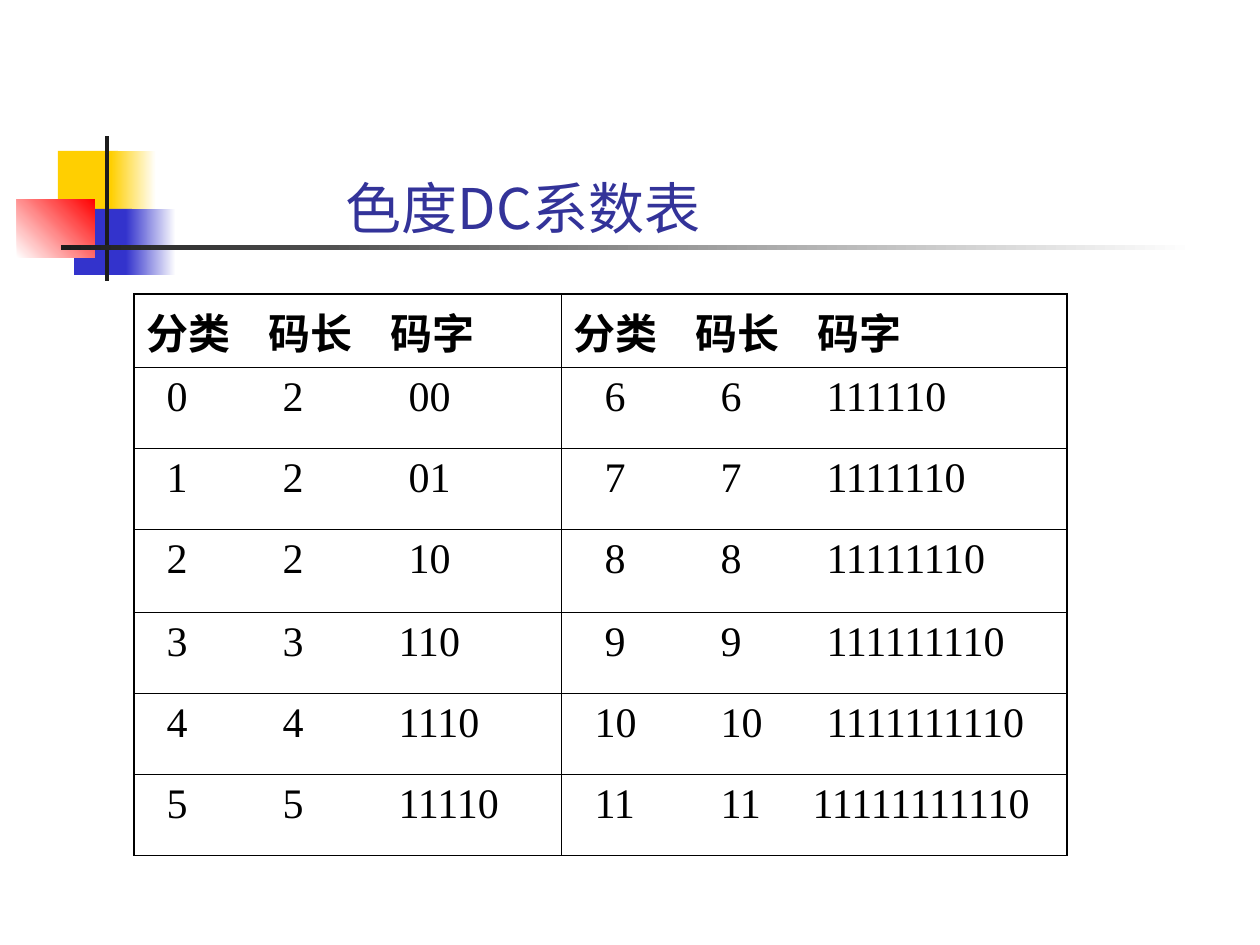
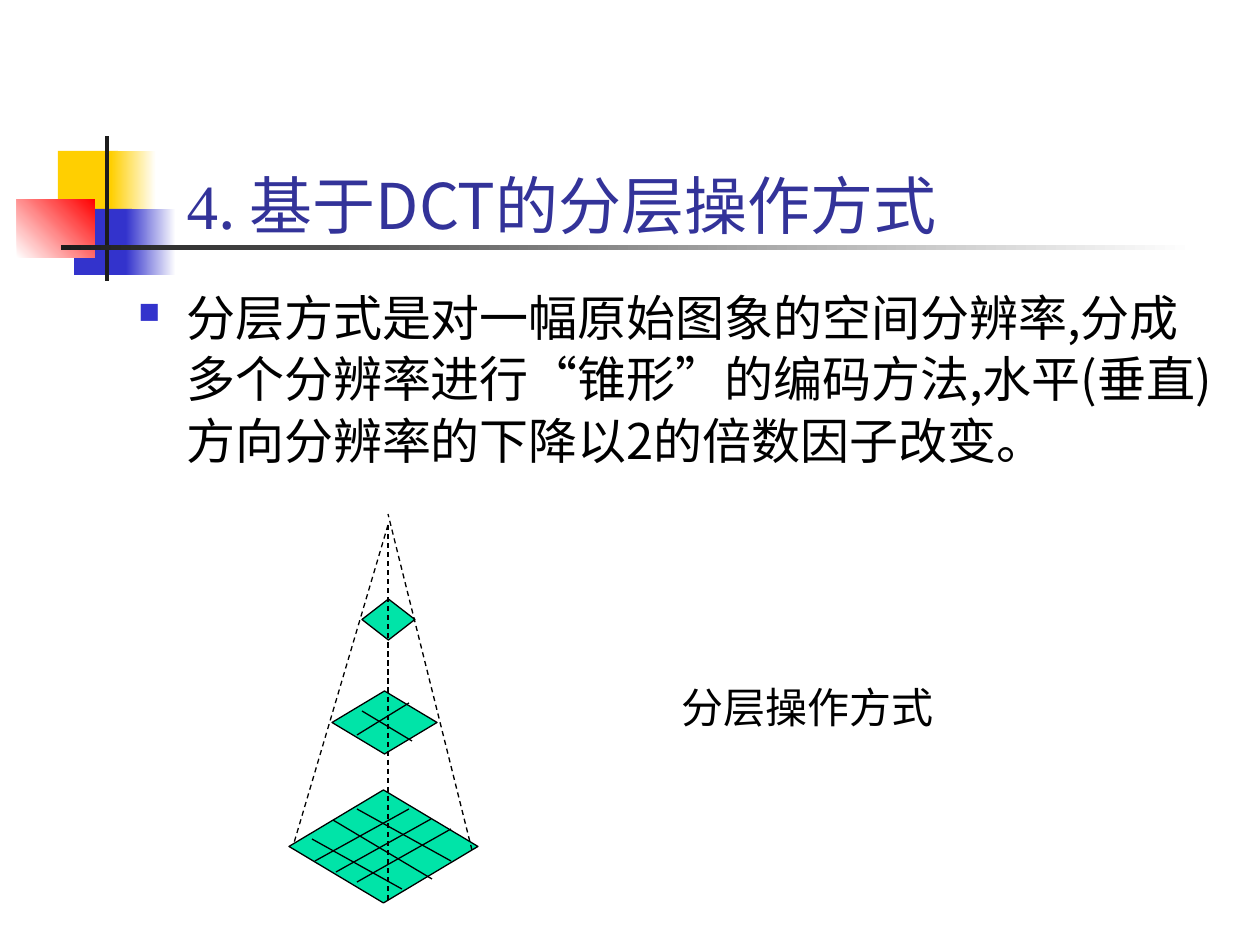
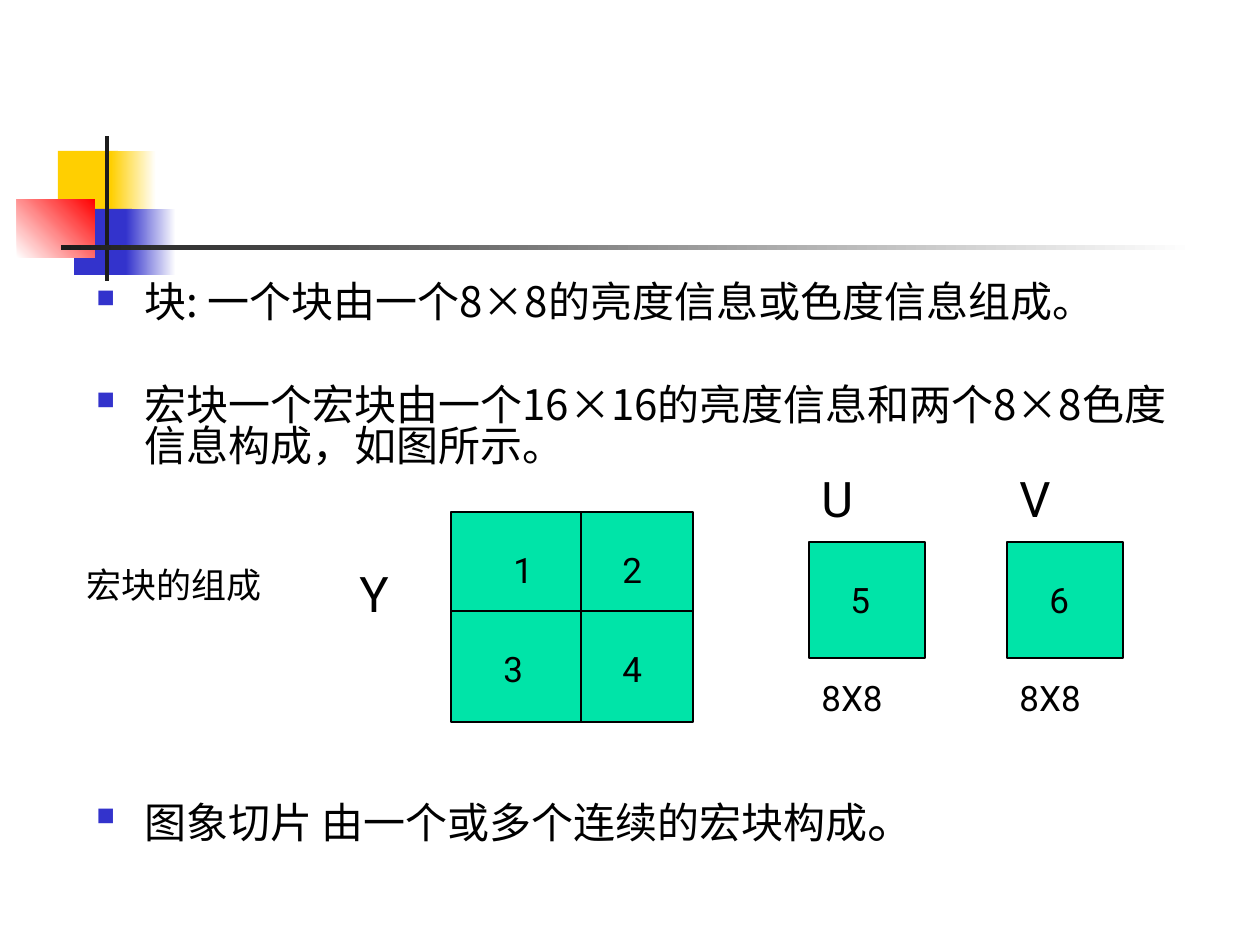
from lxml import etree
from pptx import Presentation
from pptx.dml.color import RGBColor
from pptx.enum.dml import MSO_LINE
from pptx.enum.shapes import MSO_CONNECTOR, MSO_SHAPE
from pptx.enum.text import MSO_ANCHOR, MSO_AUTO_SIZE, PP_ALIGN
from pptx.oxml.ns import qn
from pptx.util import Pt

PX = 914400 / 126
YELLOW = RGBColor(0xFF, 0xCF, 0x01)
BLUE = RGBColor(0x33, 0x33, 0xCC)
RED = RGBColor(0xFF, 0x00, 0x00)
DARK = RGBColor(0x1C, 0x1C, 0x1C)
WHITE = RGBColor(0xFF, 0xFF, 0xFF)
BLACK = RGBColor(0x00, 0x00, 0x00)
NAVY = RGBColor(0x33, 0x33, 0x99)
GREEN = RGBColor(0x00, 0xE4, 0xA8)
CJK, SANS, SERIF = "Noto Sans CJK SC", "Roboto", "Times New Roman"


def add_box(slide, kind, box, fill=GREEN, outlined=True):
    sp = slide.shapes.add_shape(kind, *[round(v * PX) for v in box])
    sp.shadow.inherit = False
    sp.fill.solid()
    sp.fill.fore_color.rgb = fill
    if outlined:
        sp.line.color.rgb = BLACK
        sp.line.width = Pt(0.75)
    else:
        sp.line.fill.background()
    return sp


def add_run(p, text, size, font, color=BLACK, bold=False):
    r = p.add_run()
    r.text = text
    r.font.size = Pt(size)
    r.font.name = font
    r.font.bold = bold
    r.font.color.rgb = color
    etree.SubElement(r._r.get_or_add_rPr(), qn("a:ea")).set("typeface", CJK)


prs = Presentation()
prs.slide_width = round(1260 * PX)
prs.slide_height = round(945 * PX)
table_slide = prs.slides.add_slide(prs.slide_layouts[5])
pyramid_slide = prs.slides.add_slide(prs.slide_layouts[5])
block_slide = prs.slides.add_slide(prs.slide_layouts[6])

bands = [
    ((58, 151, 60, 66), YELLOW, None, 0),
    ((111, 151, 45, 66), YELLOW, WHITE, 0),
    ((74, 209, 58, 66), BLUE, None, 0),
    ((126, 209, 50, 66), BLUE, WHITE, 0),
    ((17, 199, 78, 59), WHITE, RED, 45),
    ((105, 136, 4, 145), DARK, None, 0),
    ((61, 245, 1134, 5), DARK, WHITE, 0),
]
master_tree = prs.slide_master.shapes.element
for i, (box, start, end, angle) in enumerate(bands):
    sp = add_box(table_slide, MSO_SHAPE.RECTANGLE, box, start, False)
    if end is not None:
        sp.fill.gradient()
        sp.fill.gradient_angle = angle
        for stop, color in zip(sp.fill.gradient_stops, (start, end)):
            stop.color.rgb = color
    master_tree.insert(2 + i, sp.element)

titles = [
    (table_slide, (333, 150, 601, 97), [("色度DC系数表", 32, CJK)]),
    (pyramid_slide, (174, 109, 858, 139),
     [("4", 36, SERIF), (". 基于DCT的分层操作方式", 36, CJK)]),
]
for slide, box, runs in titles:
    sp = slide.shapes.title
    sp.left, sp.top, sp.width, sp.height = [round(v * PX) for v in box]
    tf = sp.text_frame
    tf.auto_size = MSO_AUTO_SIZE.NONE
    tf.vertical_anchor = MSO_ANCHOR.BOTTOM
    p = tf.paragraphs[0]
    p.alignment = PP_ALIGN.LEFT
    for text, size, font in runs:
        add_run(p, text, size, font, NAVY)

codes = ["00", "01", "10", "110", "1110", "11110", "111110", "1111110",
         "11111110", "111111110", "1111111110", "11111111110"]
lengths = [2, 2, 2] + list(range(3, 12))
col_widths = [427, 506]
row_heights = [73, 81, 81, 83, 81, 81, 81]
table = table_slide.shapes.add_table(
    7, 2, round(134 * PX), round(294 * PX), round(933 * PX), round(561 * PX)).table
table.first_row = table.horz_banding = False
for col, width in zip(table.columns, col_widths):
    col.width = round(width * PX)
for i, height in enumerate(row_heights):
    table.rows[i].height = round(height * PX)
    for j in range(2):
        cell = table.cell(i, j)
        p = cell.text_frame.paragraphs[0]
        if i == 0:
            stops = [122, 244]
            text = "分类\t码长\t码字"
        else:
            n = i - 1 + 6 * j
            if j == 0:
                stops = [20, 136, 262 if n < 3 else 252]
            else:
                stops = [31 if n < 10 else 21, 147, 239 if n == 11 else 253]
            text = f"\t{n}\t{lengths[n]}\t{codes[n]}"
        tabs = etree.SubElement(p._p.get_or_add_pPr(), qn("a:tabLst"))
        for stop in stops:
            tab = etree.SubElement(tabs, qn("a:tab"))
            tab.set("pos", str(round(stop * PX)))
            tab.set("algn", "l")
        add_run(p, text, 24, SANS if i == 0 else SERIF, bold=i == 0)
        outer = {"L": j == 0, "R": j == 1, "T": i == 0, "B": i == 6}
        tc_pr = cell._tc.get_or_add_tcPr()
        for side, thick in outer.items():
            ln = etree.SubElement(tc_pr, qn(f"a:ln{side}"))
            ln.set("w", str(Pt(1.08 if thick else 0.45)))
            fill = etree.SubElement(ln, qn("a:solidFill"))
            etree.SubElement(fill, qn("a:srgbClr")).set("val", str(BLACK))
        cell.fill.background()

bodies = [
    (pyramid_slide, (126, 279, 1108, 567), 35, [
        (0, [("分层方式是对一幅原始图象的空间分辨率,分成多个分辨率进行“锥形”的编码方法,"
              "水平(垂直)方向分辨率的下降以2的倍数因子改变。", 28)])]),
    (block_slide, (84, 279, 1113, 603), 23.5, [
        (0, [("块: 一个块由一个8×8的亮度信息或色度信息组成。", 24)]),
        (35, [("宏块一个宏块由一个16×16的亮度信息和两个8×8色度信息构成，如图所示。", 24)]),
        (193, [("图象切片 由一个或多个连续的宏块构成", 24), ("。", 28)])]),
]
for slide, box, spacing, paragraphs in bodies:
    tf = slide.shapes.add_textbox(*[round(v * PX) for v in box]).text_frame
    tf.word_wrap = True
    for i, (before, runs) in enumerate(paragraphs):
        p = tf.add_paragraph() if i else tf.paragraphs[0]
        pPr = p._p.get_or_add_pPr()
        pPr.set("marL", str(round(48 * PX)))
        pPr.set("indent", str(round(-48 * PX)))
        color = etree.SubElement(pPr, qn("a:buClr"))
        etree.SubElement(color, qn("a:srgbClr")).set("val", str(BLUE))
        etree.SubElement(pPr, qn("a:buSzPct")).set("val", "60000")
        etree.SubElement(pPr, qn("a:buChar")).set("char", "■")
        p.line_spacing = Pt(spacing)
        p.space_before = Pt(before)
        for text, size in runs:
            add_run(p, text, size, CJK)

for box in [(362, 599, 53, 41), (332, 691, 105, 63), (289, 790, 189, 113)]:
    add_box(pyramid_slide, MSO_SHAPE.DIAMOND, box)
for box in [(451, 512, 242, 210), (809, 542, 116, 116), (1007, 542, 116, 116)]:
    add_box(block_slide, MSO_SHAPE.RECTANGLE, box)

edges = [(388, 525, 294, 843), (472, 850, 388, 514), (388, 525, 388, 903)]
grid_lines = [
    (409, 703, 357, 735), (362, 711, 412, 741),
    (409, 809, 315, 861), (431, 819, 336, 872), (451, 829, 357, 882),
    (357, 809, 451, 861), (333, 820, 432, 879), (312, 839, 402, 889),
]
dividers = [(451, 611, 693, 611), (581, 512, 581, 722)]
for slide, lines, dashed in [(pyramid_slide, grid_lines, False),
                             (pyramid_slide, edges, True),
                             (block_slide, dividers, False)]:
    for ends in lines:
        cx = slide.shapes.add_connector(
            MSO_CONNECTOR.STRAIGHT, *[round(v * PX) for v in ends])
        cx.line.color.rgb = BLACK
        cx.line.width = Pt(0.75)
        if dashed:
            cx.line.dash_style = MSO_LINE.DASH
        etree.SubElement(cx._element.spPr, qn("a:effectLst"))

labels = [
    (pyramid_slide, "分层操作方式", 669, 675, 476, 24, SERIF),
    (block_slide, "宏块的组成", 74, 557, 287, 20, SANS),
    (block_slide, "Y", 347, 557, 86, 28, SANS),
    (block_slide, "U", 809, 462, 89, 28, SANS),
    (block_slide, "V", 1007, 462, 116, 28, SANS),
    (block_slide, "8X8", 809, 670, 116, 20, SANS),
    (block_slide, "8X8", 1007, 670, 116, 20, SANS),
    (block_slide, "1", 501, 542, 53, 20, SANS),
    (block_slide, "2", 610, 542, 53, 20, SANS),
    (block_slide, "3", 491, 641, 53, 20, SANS),
    (block_slide, "4", 610, 641, 53, 20, SANS),
    (block_slide, "5", 838, 572, 53, 20, SANS),
    (block_slide, "6", 1037, 572, 53, 20, SANS),
]
for slide, text, x, y, width, size, font in labels:
    box = (x, y, width, 2 * size + 15)
    tf = slide.shapes.add_textbox(*[round(v * PX) for v in box]).text_frame
    tf.word_wrap = True
    add_run(tf.paragraphs[0], text, size, font)

prs.save("out.pptx")
